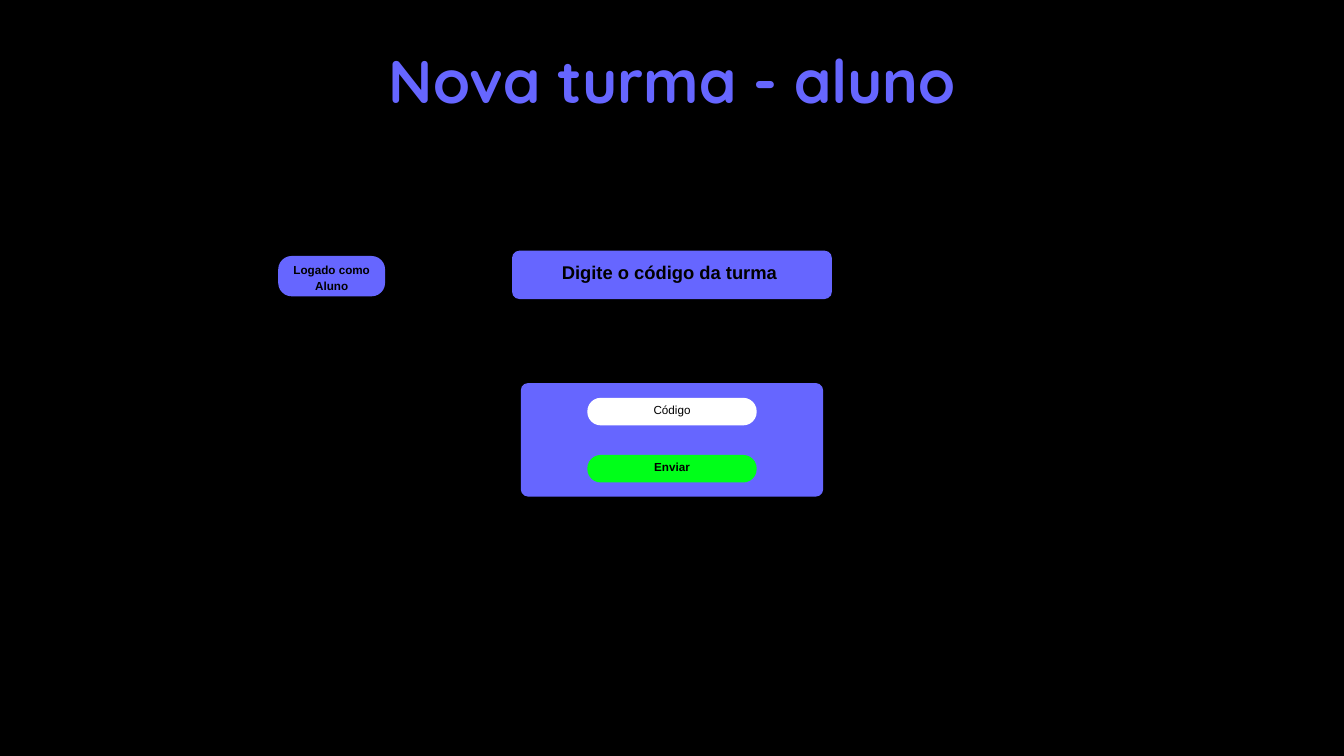
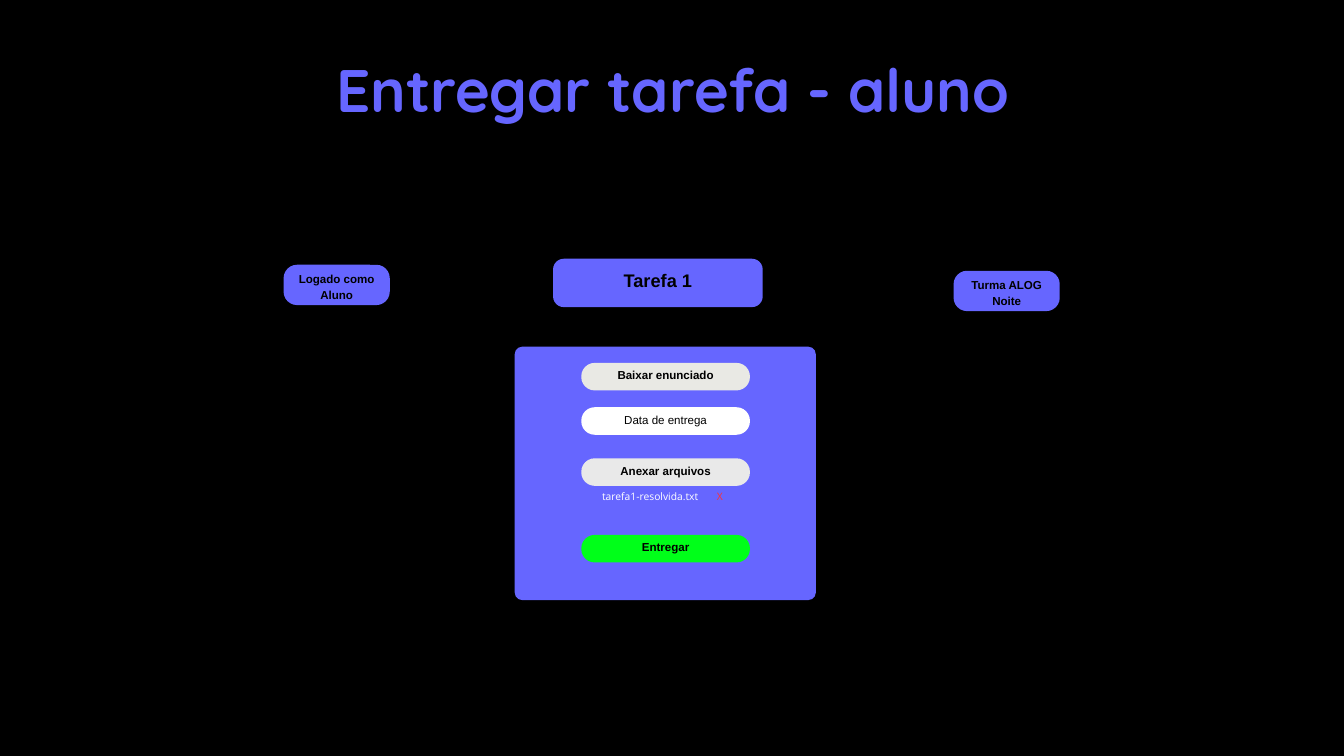
from lxml import etree
from pptx import Presentation
from pptx import util as u
from pptx.dml.color import RGBColor
from pptx.enum import shapes, text
from pptx.oxml.ns import qn

BLACK, VIOLET, WHITE = "000000", "6666FF", "FFFFFF"
GREEN, RED, WARM_GREY, GREY = "00FF19", "FF3131", "E9E9E4", "E9E9E9"

deck = Presentation()
deck.slide_width, deck.slide_height = u.Inches(20), u.Inches(11.25)

# Grid: 20 columns by 11.25 rows
COLUMN, ROW = deck.slide_width / 20, deck.slide_height / 11.25

# Each kind of block: corner radius and label overhang in rows,
# label anchor, line spacing as a share of the text size
KINDS = {
    "wide banner": (0.11, 0.13, text.MSO_ANCHOR.MIDDLE, 1.4),
    "banner": (0.16, 0.13, text.MSO_ANCHOR.MIDDLE, 1.4),
    "tag": (0.2, 0.07, text.MSO_ANCHOR.BOTTOM, 1.35),
    "card": (0.11, 0, text.MSO_ANCHOR.MIDDLE, 1),
    "button": (0.2, 0.08, text.MSO_ANCHOR.MIDDLE, 1.41),
}

# Each block: kind, left, top, width, height, fill, label, bold
PAGES = [
    {
        "title": ("Nova turma - aluno", 4.61, 0.46, 10.79, 1.2, 64.5),
        "sizes": {"wide banner": 19.7, "tag": 12.5, "button": 12.5},
        "blocks": [
            ("wide banner", 7.62, 3.73, 4.76, 0.72, VIOLET, "Digite o código da turma ", True),
            ("card", 7.75, 5.7, 4.5, 1.69, VIOLET, "", False),
            ("tag", 4.14, 3.81, 1.59, 0.6, VIOLET, "Logado como Aluno", True),
        ],
        "button column": (8.74, 2.52),
        "buttons": [
            (5.92, WHITE, "Código", False),
            (6.77, GREEN, "Enviar", True),
        ],
    },
    {
        "title": ("Entregar tarefa - aluno", 3.78, 0.61, 12.46, 1.19, 64.2),
        "sizes": {"banner": 19.5, "tag": 12.4, "button": 12.4},
        "blocks": [
            ("banner", 8.23, 3.85, 3.12, 0.72, VIOLET, "Tarefa 1", True),
            ("tag", 4.22, 3.94, 1.58, 0.6, VIOLET, "Logado como Aluno", True),
            ("tag", 14.19, 4.03, 1.58, 0.6, VIOLET, "Turma ALOG Noite", True),
            ("card", 7.66, 5.16, 4.48, 3.77, VIOLET, "", False),
        ],
        "button column": (8.65, 2.51),
        "buttons": [
            (5.4, WARM_GREY, "Baixar enunciado", True),
            (6.06, WHITE, "Data de entrega", False),
            (6.82, GREY, "Anexar arquivos", True),
            (7.96, GREEN, "Entregar", True),
        ],
    },
]


def place(left, top, width, height):
    """Turn grid columns and rows into slide lengths."""
    return [int(n) for n in (left * COLUMN, top * ROW, width * COLUMN, height * ROW)]


def write(box, spans, font, size, spacing, inset=0, bold=False,
          anchor=text.MSO_ANCHOR.TOP, align=text.PP_ALIGN.CENTER):
    """Fill a box with one paragraph of (wording, colour) spans."""
    frame = box.text_frame
    frame.word_wrap = True
    frame.auto_size = text.MSO_AUTO_SIZE.NONE
    frame.vertical_anchor = anchor
    frame.margin_left = frame.margin_right = u.Inches(inset)
    frame.margin_top = frame.margin_bottom = u.Inches(inset)
    para = frame.paragraphs[0]
    para.alignment = align
    para.line_spacing = u.Pt(round(size * spacing, 1))
    for wording, colour in spans:
        span = para.add_run()
        span.text = wording
        span.font.name, span.font.size, span.font.bold = font, u.Pt(size), bold
        span.font.color.rgb = RGBColor.from_string(colour)
    return para


for content in PAGES:
    # Background and title
    page = deck.slides.add_slide(deck.slide_layouts[5])
    page.background.fill.solid()
    page.background.fill.fore_color.rgb = RGBColor.from_string(BLACK)
    heading, left, top, width, height, size = content["title"]
    title = page.shapes.title
    title.left, title.top, title.width, title.height = place(left, top, width, height)
    write(title, [(heading, VIOLET)], "Quicksand", size, 1.4, bold=True)

    # Banner, tags, card and the column of buttons
    button_left, button_width = content["button column"]
    buttons = [("button", button_left, top, button_width, 0.41, *rest)
               for top, *rest in content["buttons"]]
    for kind, left, top, width, height, fill, label, bold in content["blocks"] + buttons:
        radius, overhang, anchor, spacing = KINDS[kind]
        block = page.shapes.add_shape(shapes.MSO_SHAPE.ROUNDED_RECTANGLE,
                                      *place(left, top, width, height))
        block.adjustments[0] = min(0.5, radius / height)
        block.shadow.inherit = False
        block.fill.solid()
        block.fill.fore_color.rgb = RGBColor.from_string(fill)
        block.line.fill.background()
        if label:
            box = page.shapes.add_textbox(*place(left, top - overhang, width, height + overhang))
            write(box, [(label, BLACK)], "Arial", content["sizes"][kind], spacing,
                  inset=0.05, bold=bold, anchor=anchor)

# Attached file on the last page, with its remove mark at a tab stop
attachment = page.shapes.add_textbox(*place(8.96, 7.26, 1.96, 0.2))
para = write(attachment, [("tarefa1-resolvida.txt\t", WHITE), ("X", RED)], "Open Sans", 11, 1.4,
             align=text.PP_ALIGN.LEFT)
stops = etree.SubElement(para._p.get_or_add_pPr(), qn("a:tabLst"))
etree.SubElement(stops, qn("a:tab"), pos=str(int(1.71 * COLUMN)), algn="l")

deck.save("out.pptx")
